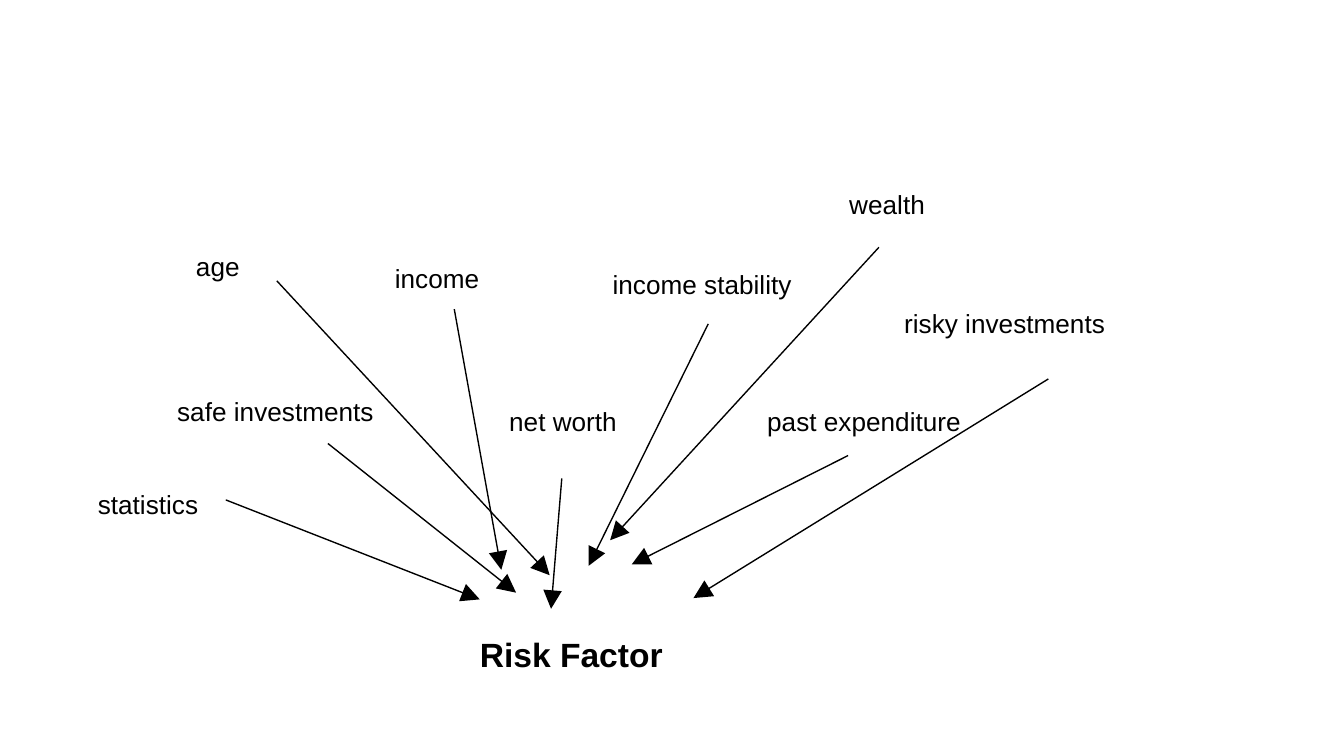
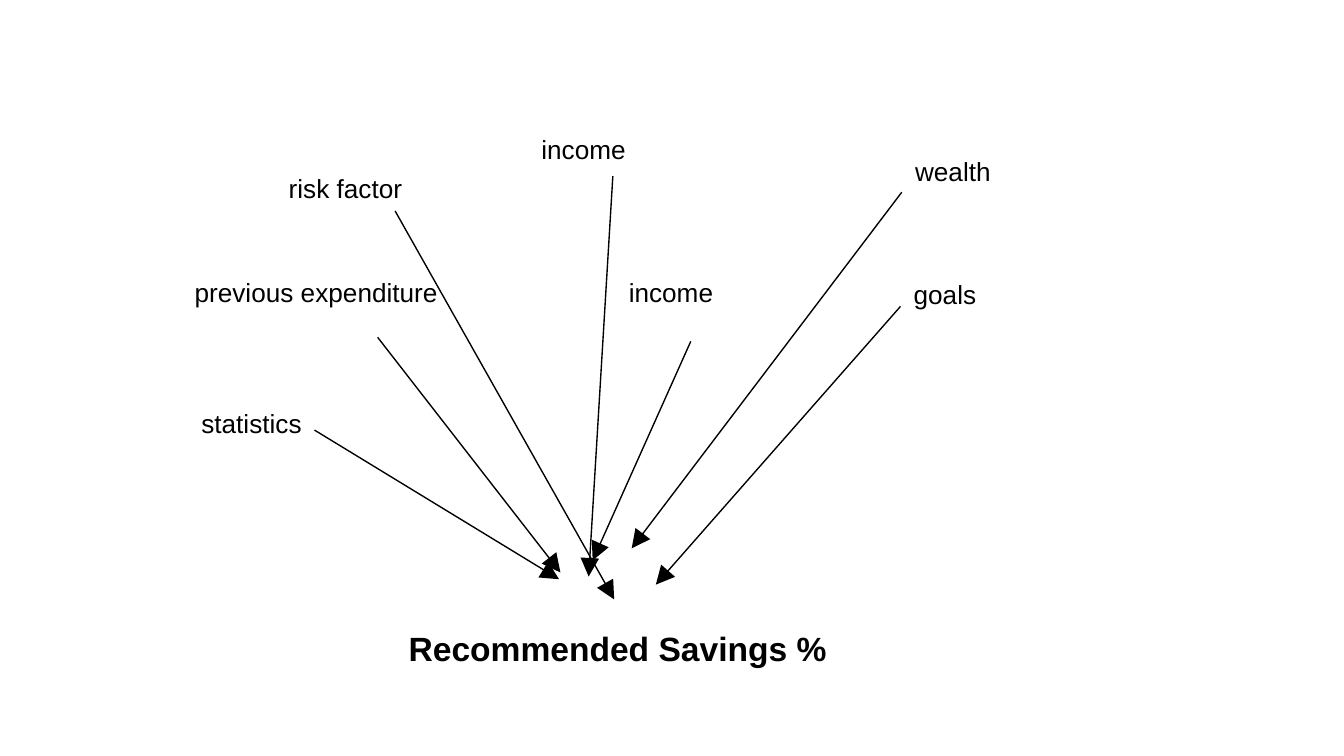
from pptx import Presentation
from pptx.dml.color import RGBColor as RGB
from pptx.enum.shapes import MSO_CONNECTOR as LINK
from pptx.enum.text import MSO_ANCHOR as ANCHOR, MSO_AUTO_SIZE as FIT, PP_ALIGN as ALIGN
from pptx.oxml.ns import qn
from pptx.util import Pt
from lxml.etree import SubElement as sub

PX = 9144  # EMU per px, 100 px to the inch
WIDTH = 1000
INSET = 10
FONT = "Arial"
COLORS = {"page": "FFFFFF", "ink": "000000"}

# Each factor: label, box (left, top, width, height), arrow (from x, y, to x, y)
RISK = [
    ("age", (136, 176, 709, 83), (206, 209, 409, 428)),
    ("income", (284, 192, 116, 7), (338, 230, 373, 424)),
    ("income stability", (446, 190, 709, 83), (527, 241, 438, 421)),
    ("wealth", (622, 130, 709, 83), (654, 184, 454, 402)),
    ("risky investments", (663, 219, 230, 39), (780, 282, 516, 445)),
    ("safe investments", (122, 286, 210, 17), (244, 330, 384, 441)),
    ("net worth", (369, 292, 718, 84), (418, 356, 410, 453)),
    ("past expenditure", (561, 292, 718, 84), (631, 339, 470, 420)),
    ("statistics", (63, 355, 210, 17), (168, 372, 357, 446)),
]
SAVINGS = [
    ("risk factor", (205, 118, 134, 49), (294, 157, 457, 446)),
    ("income", (393, 89, 126, 42), (456, 131, 438, 429)),
    ("wealth", (671, 106, 189, 74), (671, 143, 470, 408)),
    ("previous expenditure", (135, 196, 210, 49), (281, 251, 417, 426)),
    ("income", (458, 196, 189, 49), (514, 254, 441, 417)),
    ("goals", (670, 197, 126, 61), (670, 228, 488, 435)),
    ("statistics", (140, 293, 140, 61), (234, 320, 416, 431)),
]


def emu(*sizes):
    return [size * PX for size in sizes]


def color(name):
    return RGB.from_string(COLORS[name])


def write(shape, text, size=14, bold=False, ink="ink"):
    frame = shape.text_frame
    frame.word_wrap = True
    frame.auto_size = FIT.NONE
    frame.vertical_anchor = ANCHOR.TOP
    for side in ("left", "top", "right", "bottom"):
        setattr(frame, f"margin_{side}", INSET * PX)
    para = frame.paragraphs[0]
    para.alignment = ALIGN.LEFT
    run = para.add_run()
    run.text = text
    font = run.font
    font.name, font.size, font.bold = FONT, Pt(size), bold
    font.color.rgb = color(ink)


def add_label(slide, text, box):
    write(slide.shapes.add_textbox(*emu(*box)), text)


def add_arrow(slide, ends):
    link = slide.shapes.add_connector(LINK.STRAIGHT, *emu(*ends))
    link.line.width = Pt(0.75)
    link.line.color.rgb = color("ink")
    # Large triangle at the far end, no shadow
    props = link._element.spPr
    sub(props.find(qn("a:ln")), qn("a:tailEnd"), type="triangle", w="lg", len="lg")
    sub(props, qn("a:effectLst"))


def set_title(slide, text, box):
    title = slide.shapes.title
    title.left, title.top, title.width, title.height = emu(*box)
    write(title, text, size=18, bold=True)


def add_slide(deck, title, box, factors):
    slide = deck.slides.add_slide(deck.slide_layouts[5])  # Title Only
    set_title(slide, title, box)
    for text, place, ends in factors:
        add_label(slide, text, place)
        add_arrow(slide, ends)


def main():
    deck = Presentation()
    # Widescreen page, 16 to 9
    deck.slide_width = WIDTH * PX
    deck.slide_height = deck.slide_width * 9 // 16
    fill = deck.slide_master.background.fill
    fill.solid()
    fill.fore_color.rgb = color("page")

    add_slide(deck, "Risk Factor", (347, 462, 762, 89), RISK)
    add_slide(deck, "Recommended Savings %", (294, 457, 762, 89), SAVINGS)
    deck.save("out.pptx")


if __name__ == "__main__":
    main()
